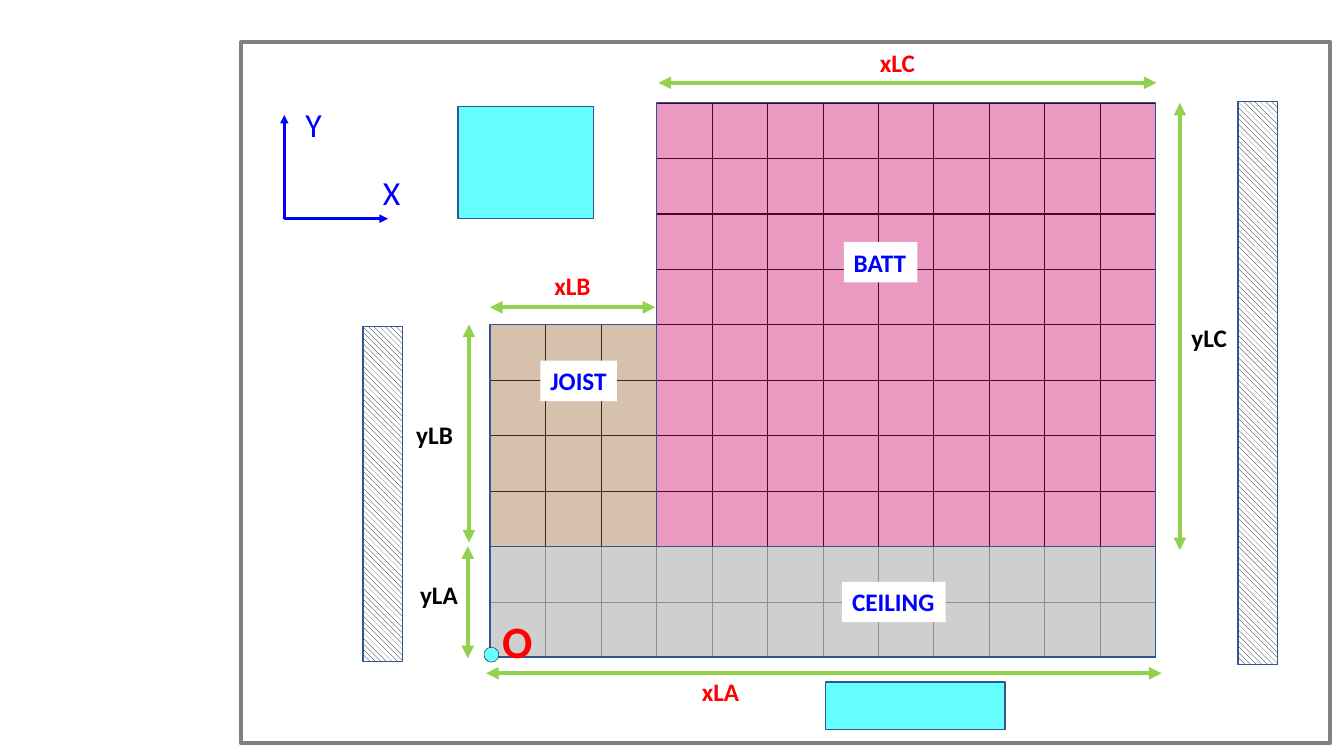
from dataclasses import dataclass
from itertools import product

from lxml.etree import SubElement
from pptx import Presentation
from pptx.dml.color import RGBColor
from pptx.enum.dml import MSO_PATTERN
from pptx.enum.shapes import MSO_CONNECTOR, MSO_SHAPE
from pptx.enum.text import MSO_AUTO_SIZE, MSO_VERTICAL_ANCHOR as Anchor
from pptx.oxml.ns import qn
from pptx.shapes.autoshape import Shape
from pptx.util import Inches, Pt

CELL = 0.55
GRID_LEFT = 4.86
GRID_TOP = 1.02

BLACK = RGBColor(0x00, 0x00, 0x00)
WHITE = RGBColor(0xFF, 0xFF, 0xFF)
RED = RGBColor(0xFF, 0x00, 0x00)
BLUE = RGBColor(0x00, 0x00, 0xFF)
GREEN = RGBColor(0x92, 0xD0, 0x50)
CYAN = RGBColor(0x66, 0xFF, 0xFF)
OUTLINE = RGBColor(0x32, 0x54, 0x91)
FRAME_GRAY = RGBColor(0x80, 0x80, 0x80)
CEILING_GRAY = RGBColor(0xBF, 0xBF, 0xBF)
JOIST_BROWN = RGBColor(0x99, 0x66, 0x33)
BATT_PINK = RGBColor(0xCC, 0x00, 0x66)


@dataclass(frozen=True)
class Area:
    col: float
    row: float
    cols: float
    rows: float


@dataclass(frozen=True)
class Zone:
    area: Area
    color: RGBColor
    opacity: int


@dataclass(frozen=True)
class Arrow:
    start: tuple[float, float]
    end: tuple[float, float]


@dataclass(frozen=True)
class Label:
    text: str
    area: Area
    color: RGBColor
    size: int = 18
    bold: bool = True
    fill: RGBColor | None = None


ZONES = [
    Zone(Area(0, 8, 12, 2), CEILING_GRAY, 75),
    Zone(Area(0, 4, 3, 4), JOIST_BROWN, 40),
    Zone(Area(3, 0, 9, 8), BATT_PINK, 40),
]
CYAN_BLOCKS = [Area(6.05, 10.45, 3.24, 0.85), Area(-0.58, 0.07, 2.45, 2.02)]
HATCHED_WALLS = [Area(13.49, -0.02, 0.71, 10.15), Area(-2.29, 4.04, 0.71, 6.04)]
FRAME = Area(-4.49, -1.09, 19.64, 12.64)
ORIGIN_DOT = Area(-0.11, 9.82, 0.27, 0.27)

AXES = [
    Arrow((-3.71, 2.09), (-1.84, 2.09)),
    Arrow((-3.71, 2.09), (-3.71, 0.22)),
]
DIMENSIONS = [
    Arrow((-0.4, 10.02), (-0.4, 8)),
    Arrow((-0.38, 7.93), (-0.38, 4)),
    Arrow((12.44, 8.07), (12.44, 0)),
    Arrow((3.04, -0.36), (12.02, -0.36)),
    Arrow((0, 3.69), (2.98, 3.69)),
    Arrow((-0.07, 10.29), (12.11, 10.29)),
]
LABELS = [
    Label("X", Area(-2.11, 1.15, 0.69, 0.91), BLUE, size=24, bold=False),
    Label("Y", Area(-3.51, -0.07, 0.69, 0.91), BLUE, size=24, bold=False),
    Label("yLB", Area(-1.51, 5.62, 1.04, 0.73), BLACK),
    Label("yLC", Area(12.47, 3.87, 1.02, 0.73), BLACK),
    Label("yLA", Area(-1.44, 8.51, 1.05, 0.73), BLACK),
    Label("xLB", Area(0.98, 2.93, 1.04, 0.73), RED),
    Label("xLC", Area(6.85, -1.09, 1, 0.73), RED),
    Label("xLA", Area(3.64, 10.25, 1.05, 0.73), RED),
    Label("BATT", Area(6.38, 2.51, 1.33, 0.73), BLUE, fill=WHITE),
    Label("JOIST", Area(0.91, 4.65, 1.38, 0.73), BLUE, fill=WHITE),
    Label("CEILING", Area(6.35, 8.64, 1.87, 0.73), BLUE, fill=WHITE),
]
ORIGIN_LABEL = Label("O", Area(0.04, 9.13, 0.93, 1.16), RED, size=32)


def grid_point(col: float, row: float) -> tuple[int, int]:
    return Inches(GRID_LEFT + col * CELL), Inches(GRID_TOP + row * CELL)


def grid_bounds(area: Area) -> tuple[int, int, int, int]:
    left, top = grid_point(area.col, area.row)
    return left, top, Inches(area.cols * CELL), Inches(area.rows * CELL)


def add_block(page, area: Area, *, fill: RGBColor | None = None, opacity: int = 100,
              line: RGBColor = OUTLINE, width: float = 1,
              kind: MSO_SHAPE = MSO_SHAPE.RECTANGLE) -> Shape:
    block = page.shapes.add_shape(kind, *grid_bounds(area))
    block.shadow.inherit = False
    if fill is None:
        block.fill.background()
    else:
        block.fill.solid()
        block.fill.fore_color.rgb = fill
        if opacity < 100:
            color = block.fill._xPr.find(f"{qn('a:solidFill')}/{qn('a:srgbClr')}")
            SubElement(color, qn("a:alpha"), val=str(opacity * 1000))
    block.line.color.rgb = line
    block.line.width = Pt(width)
    return block


def add_hatched_wall(page, area: Area) -> None:
    wall = add_block(page, area)
    wall.fill.patterned()
    wall.fill.pattern = MSO_PATTERN.WIDE_DOWNWARD_DIAGONAL
    wall.fill.fore_color.rgb = BLACK
    wall.fill.back_color.rgb = WHITE


def add_arrow(page, arrow: Arrow, *, color: RGBColor, width: float,
              ends: tuple[str, ...]) -> None:
    connector = page.shapes.add_connector(
        MSO_CONNECTOR.STRAIGHT, *grid_point(*arrow.start), *grid_point(*arrow.end))
    connector.line.color.rgb = color
    connector.line.width = Pt(width)
    outline = connector.line._get_or_add_ln()
    for end in ends:
        SubElement(outline, qn(f"a:{end}"), type="triangle")
    SubElement(outline.getparent(), qn("a:effectLst"))


def add_text(page, text: str, area: Area, *, color: RGBColor, size: int,
             bold: bool, fill: RGBColor | None) -> None:
    box = page.shapes.add_textbox(*grid_bounds(area))
    if fill is not None:
        box.fill.solid()
        box.fill.fore_color.rgb = fill
    frame = box.text_frame
    frame.word_wrap = False
    frame.auto_size = MSO_AUTO_SIZE.SHAPE_TO_FIT_TEXT
    frame.vertical_anchor = Anchor.TOP
    span = frame.paragraphs[0].add_run()
    span.text = text
    span.font.name = "Calibri"
    span.font.size = Pt(size)
    span.font.bold = bold
    span.font.color.rgb = color


def add_label(page, label: Label) -> None:
    add_text(page, label.text, label.area, color=label.color, size=label.size,
             bold=label.bold, fill=label.fill)


def add_cells(page, area: Area) -> None:
    for row, col in product(range(area.rows), range(area.cols)):
        add_block(page, Area(area.col + col, area.row + row, 1, 1),
                  line=BLACK, width=0.25)


def main() -> None:
    deck = Presentation()
    deck.slide_width, deck.slide_height = Inches(13.33), Inches(7.5)
    page = deck.slides.add_slide(deck.slide_layouts[6])

    for area in CYAN_BLOCKS:
        add_block(page, area, fill=CYAN)
    for zone in ZONES:
        add_cells(page, zone.area)
    for zone in ZONES:
        add_block(page, zone.area, fill=zone.color, opacity=zone.opacity)
    for axis in AXES:
        add_arrow(page, axis, color=BLUE, width=2, ends=("tailEnd",))
    for dimension in DIMENSIONS:
        add_arrow(page, dimension, color=GREEN, width=3, ends=("headEnd", "tailEnd"))
    for label in LABELS:
        add_label(page, label)
    add_block(page, FRAME, line=FRAME_GRAY, width=3)
    add_block(page, ORIGIN_DOT, fill=CYAN, line=BLACK, width=0.25, kind=MSO_SHAPE.OVAL)
    add_label(page, ORIGIN_LABEL)
    for area in HATCHED_WALLS:
        add_hatched_wall(page, area)

    deck.save("out.pptx")


if __name__ == "__main__":
    main()
